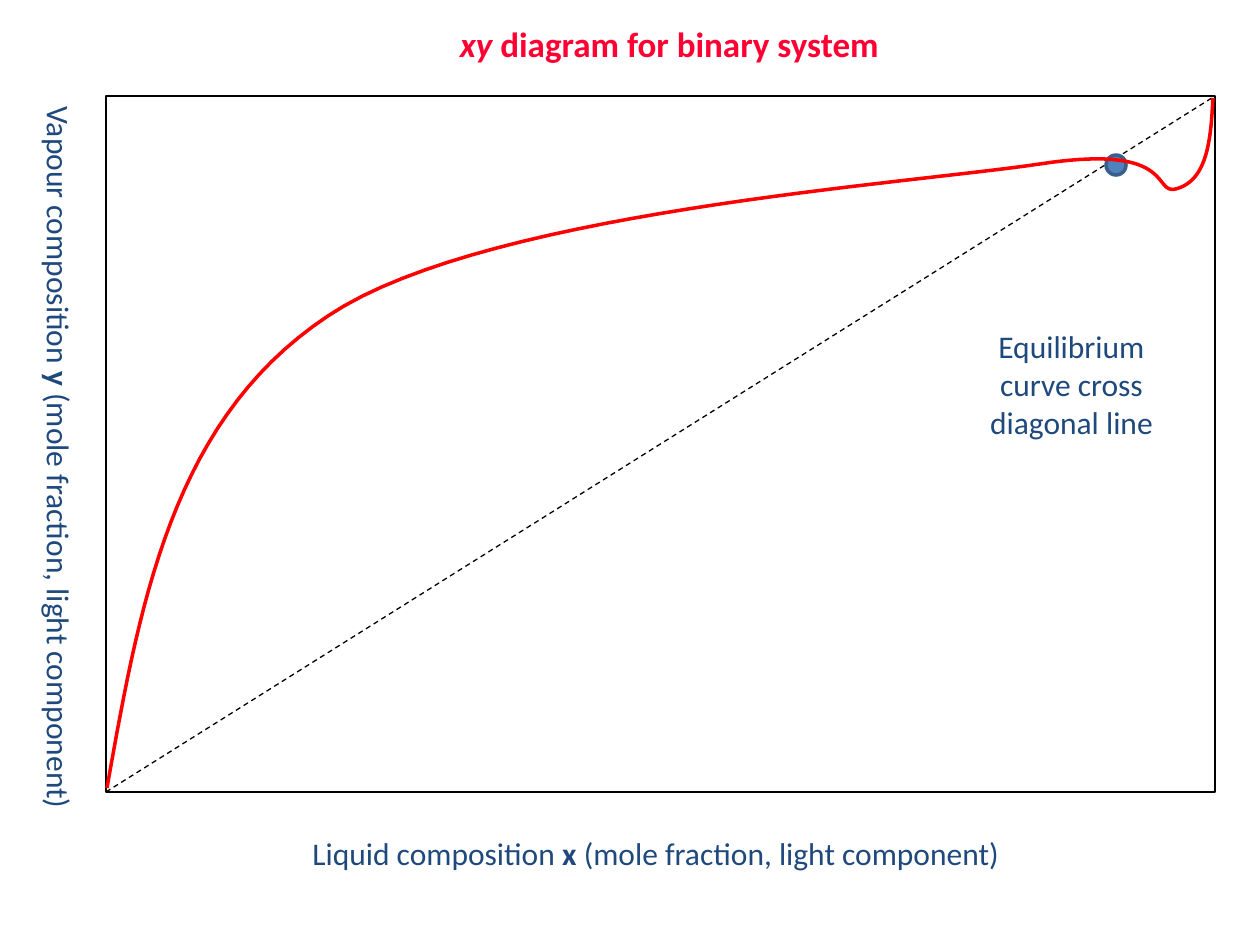
from pptx import Presentation
from pptx.dml.color import RGBColor
from pptx.enum.dml import MSO_LINE
from pptx.enum.shapes import MSO_CONNECTOR, MSO_SHAPE
from pptx.enum.text import MSO_AUTO_SIZE, PP_ALIGN
from pptx.util import Pt
from lxml.etree import SubElement
from pptx.oxml.ns import qn

PX = 914400 / 126
COLORS = {
    "title": "FF0033",
    "label": "1F497D",
    "frame": "000000",
    "plot": "FFFFFF",
    "curve": "FF0000",
    "azeotrope": "4F81BD",
    "azeotrope_edge": "3A5F8C",
}
CURVE_START = (1, 692)
CURVE_SEGMENTS = [
    ((34, 508), (65, 324), (222, 220)),
    ((377, 116), (792, 89), (934, 68)),
    ((1076, 46), (1044, 103), (1073, 92)),
    ((1102, 82), (1105, 41), (1107, 2)),
]
STEPS = 30


def emu(*lengths):
    """Turn px lengths into EMU."""
    return [round(length * PX) for length in lengths]


def color(name):
    """Look up a colour by its role."""
    return RGBColor.from_string(COLORS[name])


def set_line(shape, name, width):
    """Give an outline its colour and width in points."""
    shape.line.color.rgb = color(name)
    shape.line.width = Pt(width)


def bezier_points(start, segments):
    """Return points along a chain of cubic curves."""
    points = []
    for first, second, end in segments:
        for step in range(1, STEPS + 1):
            t = step / STEPS
            weights = ((1 - t) ** 3, 3 * t * (1 - t) ** 2, 3 * t * t * (1 - t), t**3)
            controls = (start, first, second, end)
            points.append(tuple(
                sum(w * p[axis] for w, p in zip(weights, controls)) for axis in (0, 1)
            ))
        start = end
    return points


def add_label(slide, box, runs, name="label", size=18, align=PP_ALIGN.LEFT,
              wrap=False, rotation=0):
    """Place one paragraph of (text, bold, italic) runs in a box."""
    label = slide.shapes.add_textbox(*emu(*box))
    label.rotation = rotation
    frame = label.text_frame
    frame.word_wrap = wrap
    frame.auto_size = MSO_AUTO_SIZE.SHAPE_TO_FIT_TEXT
    paragraph = frame.paragraphs[0]
    paragraph.alignment = align
    paragraph.font.name = "Calibri"
    paragraph.font.size = Pt(size)
    paragraph.font.color.rgb = color(name)
    for text, bold, italic in runs:
        run = paragraph.add_run()
        run.text = text
        run.font.bold = bold
        run.font.italic = italic


def add_axis_title(slide, box, phase, symbol, rotation=0):
    """Name an axis by its phase and its bold symbol."""
    add_label(slide, box, [
        (f"{phase} composition ", False, False),
        (symbol, True, False),
        (" (mole fraction, light component)", False, False),
    ], rotation=rotation)


def add_plot(slide, box):
    """Draw the frame, diagonal, azeotrope and equilibrium curve."""
    left, top, width, height = box
    shapes = slide.shapes

    frame = shapes.add_shape(MSO_SHAPE.RECTANGLE, *emu(*box))
    frame.shadow.inherit = False
    frame.fill.solid()
    frame.fill.fore_color.rgb = color("plot")
    set_line(frame, "frame", 1.25)

    diagonal = shapes.add_connector(
        MSO_CONNECTOR.STRAIGHT, *emu(left, top + height, left + width, top))
    set_line(diagonal, "frame", 0.75)
    diagonal.line.dash_style = MSO_LINE.DASH
    SubElement(diagonal._element.spPr, qn("a:effectLst"))

    azeotrope = shapes.add_shape(MSO_SHAPE.OVAL, *emu(left + 1000, top + 59, 20, 20))
    azeotrope.shadow.inherit = False
    azeotrope.fill.solid()
    azeotrope.fill.fore_color.rgb = color("azeotrope")
    set_line(azeotrope, "azeotrope_edge", 2)

    start, *points = [
        emu(left + x, top + y)
        for x, y in [CURVE_START, *bezier_points(CURVE_START, CURVE_SEGMENTS)]
    ]
    builder = shapes.build_freeform(*start)
    builder.add_line_segments(points, close=False)
    equilibrium = builder.convert_to_shape()
    equilibrium.shadow.inherit = False
    equilibrium.fill.background()
    set_line(equilibrium, "curve", 2)


def main():
    """Build the xy diagram slide."""
    deck = Presentation()
    deck.slide_width, deck.slide_height = emu(1260, 945)
    slide = deck.slides.add_slide(deck.slide_layouts[6])
    add_label(slide, (192, 16, 955, 55),
              [("xy ", True, True), ("diagram for binary system", True, False)],
              name="title", size=20, align=PP_ALIGN.CENTER, wrap=True)
    add_plot(slide, (106, 96, 1109, 696))
    add_label(slide, (958, 321, 227, 165),
              [("Equilibrium curve cross diagonal line", False, False)],
              align=PP_ALIGN.CENTER, wrap=True)
    add_axis_title(slide, (300, 828, 719, 50), "Liquid", "x")
    add_axis_title(slide, (-307, 436, 733, 50), "Vapour", "y", rotation=90)
    deck.save("out.pptx")


if __name__ == "__main__":
    main()
